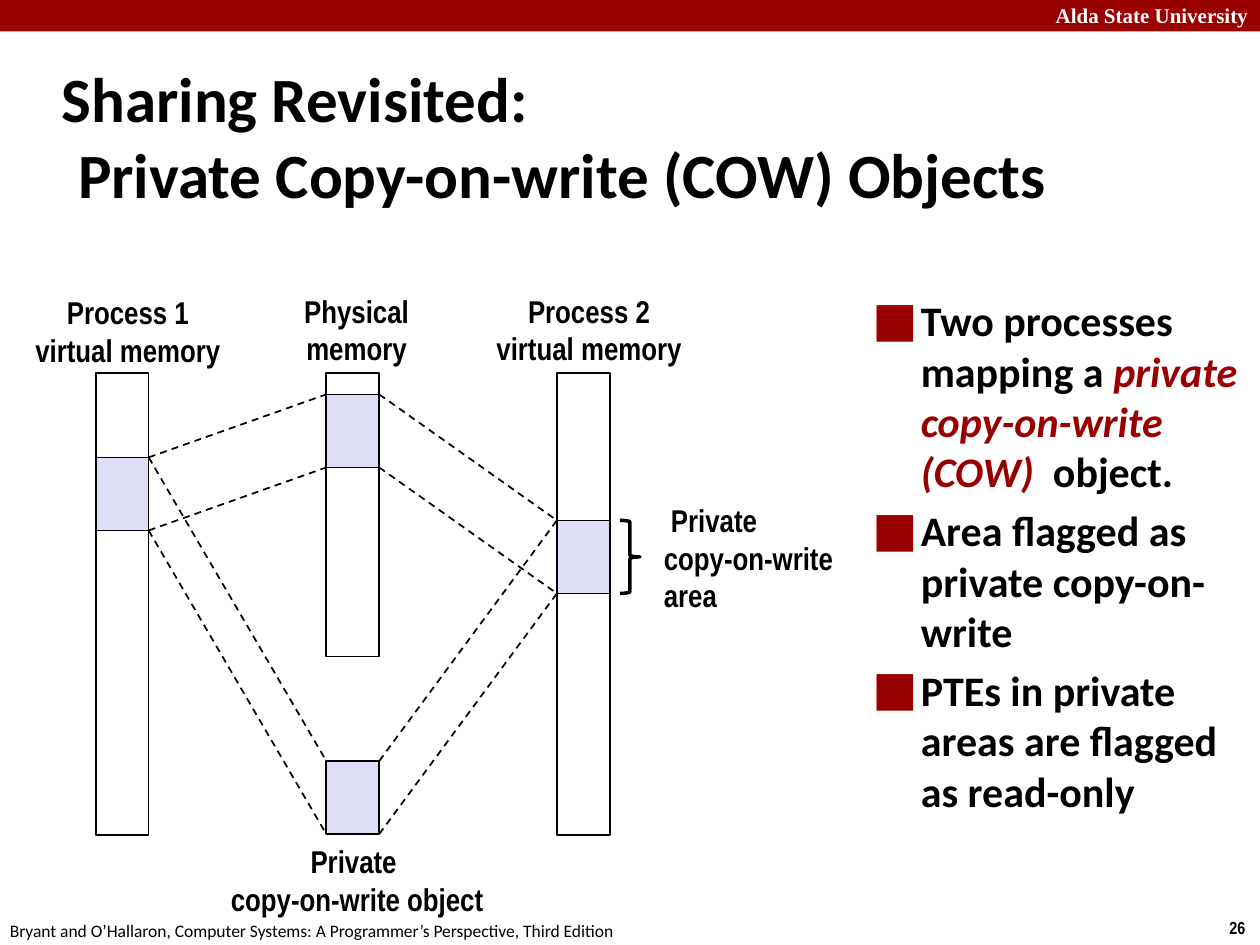
from lxml import etree
from pptx import Presentation
from pptx.dml.color import RGBColor
from pptx.enum.dml import MSO_LINE_DASH_STYLE as Dash
from pptx.enum.shapes import MSO_CONNECTOR as Connector, MSO_SHAPE as Shape
from pptx.enum.text import MSO_ANCHOR as Anchor, MSO_AUTO_SIZE as AutoSize, PP_ALIGN as Align
from pptx.oxml.ns import qn
from pptx.util import Inches, Pt

COLORS = {"red": "990000", "black": "000000", "white": "FFFFFF", "area": "DEDFF5"}

TITLE = "Sharing Revisited: \vPrivate Copy-on-write (COW) Objects"

# Each bullet is a list of (text, emphasized) runs
BULLETS = [
    [("Two processes mapping a ", False), ("private copy-on-write (COW)  ", True),
     ("object.", False)],
    [("Area flagged as private copy-on-write", False)],
    [("PTEs in private areas are flagged as read-only", False)],
]

# Lines, (left, top, width, height), alignment
LABELS = [
    (["Process 1", "virtual memory"], (0.17, 2.27, 1.69, 0.71), Align.CENTER),
    (["Physical", "memory"], (2.31, 2.26, 1.04, 0.71), Align.CENTER),
    (["Process 2", "virtual memory"], (3.83, 2.26, 1.69, 0.71), Align.CENTER),
    (["Private ", "copy-on-write object"], (1.72, 6.63, 2.23, 0.71), Align.CENTER),
    ([" Private", "copy-on-write", "area"], (5.17, 3.92, 1.58, 1.01), Align.LEFT),
]

# Text, box, font name, size, bold, color
PAGE_TEXTS = [
    ("Alda State University", (8.28, -0.03, 1.79, 0.3), "Times New Roman", 12, True, "white"),
    ("26", (9.66, 7.23, 0.34, 0.27), "Arial Narrow", 10, True, "black"),
    ("Bryant and O’Hallaron, Computer Systems: A Programmer’s Perspective, Third Edition",
     (-0.02, 7.25, 5.08, 0.27), "Calibri", 10, False, "black"),
]

# Diagram geometry
BAR_WIDTH, AREA_HEIGHT, BAR_TOP = 0.42, 0.58, 2.96
COLUMNS = {"process 1": 0.76, "physical": 2.59, "process 2": 4.42}
BAR_HEIGHTS = {"process 1": 3.67, "physical": 2.25, "process 2": 3.67}
AREAS = {  # name: (column, top)
    "object": ("physical", 6.04),
    "page": ("physical", 3.13),
    "area 1": ("process 1", 3.63),
    "area 2": ("process 2", 4.13),
}
MAPPINGS = [("area 1", "object"), ("object", "area 2"), ("area 1", "page"), ("page", "area 2")]


def color(name):
    return RGBColor.from_string(COLORS[name])


def box(values):
    return [Inches(value) for value in values]


def style_font(font, name, size, bold, color_name):
    font.name, font.size, font.bold = name, Pt(size), bold
    font.color.rgb = color(color_name)


def add_shape(slide, kind, position, fill=None, line_width=None):
    shape = slide.shapes.add_shape(kind, *box(position))
    shape.shadow.inherit = False
    if fill:
        shape.fill.solid()
        shape.fill.fore_color.rgb = color(fill)
    else:
        shape.fill.background()
    if line_width:
        shape.line.color.rgb = color("black")
        shape.line.width = Pt(line_width)
    else:
        shape.line.fill.background()
    return shape


def add_text(slide, lines, position, font_name, size, bold, color_name,
             align=Align.LEFT, anchor=Anchor.TOP):
    frame = slide.shapes.add_textbox(*box(position)).text_frame
    frame.word_wrap = False
    frame.vertical_anchor = anchor
    frame.text = "\n".join(lines)
    for paragraph in frame.paragraphs:
        paragraph.alignment = align
        style_font(paragraph.font, font_name, size, bold, color_name)


def add_dashed_line(slide, start, end):
    line = slide.shapes.add_connector(Connector.STRAIGHT, *box(start + end))
    line.line.color.rgb = color("black")
    line.line.width = Pt(1)
    line.line.dash_style = Dash.DASH
    etree.SubElement(line._element.spPr, qn("a:effectLst"))


def set_indent(paragraph, amount):
    properties = paragraph._p.get_or_add_pPr()
    properties.set("marL", str(Inches(amount)))
    properties.set("indent", str(-Inches(amount)))
    return properties


def set_square_bullet(properties):
    bullet_color = etree.Element(qn("a:buClr"))
    etree.SubElement(bullet_color, qn("a:srgbClr"), val=COLORS["red"])
    # Bullet settings come before the default run properties
    defaults = properties.find(qn("a:defRPr"))
    for element in (bullet_color,
                    etree.Element(qn("a:buSzPct"), val="180000"),
                    etree.Element(qn("a:buFont"), typeface="Arial"),
                    etree.Element(qn("a:buChar"), char="■")):
        defaults.addprevious(element)


def add_title(slide):
    title = slide.shapes.title
    title.left, title.top, title.width, title.height = box((0.39, 0.48, 8.3, 1.19))
    frame = title.text_frame
    frame.text = TITLE
    frame.auto_size = AutoSize.NONE
    frame.vertical_anchor = Anchor.MIDDLE
    paragraph = frame.paragraphs[0]
    paragraph.alignment = Align.LEFT
    style_font(paragraph.font, "Calibri", 36, True, "black")
    set_indent(paragraph, 0.13)


def add_bullets(slide):
    frame = slide.shapes.add_textbox(*box((6.83, 2.29, 3.17, 4.58))).text_frame
    frame.word_wrap = True
    for index, runs in enumerate(BULLETS):
        paragraph = frame.add_paragraph() if index else frame.paragraphs[0]
        paragraph.space_before = Pt(4.8 if index else 0)
        style_font(paragraph.font, "Calibri", 24, True, "black")
        set_square_bullet(set_indent(paragraph, 0.38))
        for text, emphasized in runs:
            run = paragraph.add_run()
            run.text = text
            if emphasized:
                run.font.italic = True
                run.font.color.rgb = color("red")


def add_diagram(slide):
    # Memory bars, then the mapped areas on top
    for name, left in COLUMNS.items():
        add_shape(slide, Shape.RECTANGLE, (left, BAR_TOP, BAR_WIDTH, BAR_HEIGHTS[name]),
                  line_width=1)
    for column, top in AREAS.values():
        add_shape(slide, Shape.RECTANGLE, (COLUMNS[column], top, BAR_WIDTH, AREA_HEIGHT),
                  "area", 1)
    # Each mapping joins the facing top and bottom corners of two areas
    for left_area, right_area in MAPPINGS:
        left_column, left_top = AREAS[left_area]
        right_column, right_top = AREAS[right_area]
        for offset in (0, AREA_HEIGHT):
            add_dashed_line(slide, (COLUMNS[left_column] + BAR_WIDTH, left_top + offset),
                            (COLUMNS[right_column], right_top + offset))
    # Brace beside the area of process 2
    brace = add_shape(slide, Shape.RIGHT_BRACE,
                      (4.92, AREAS["area 2"][1], 0.16, AREA_HEIGHT), line_width=2)
    brace.adjustments[0] = 0.08
    for lines, position, align in LABELS:
        add_text(slide, lines, position, "Arial Narrow", 18, True, "black", align, Anchor.MIDDLE)


def main():
    presentation = Presentation()
    presentation.slide_width, presentation.slide_height = Inches(10), Inches(7.5)
    slide = presentation.slides.add_slide(presentation.slide_layouts[5])

    # Header band and page texts
    add_shape(slide, Shape.RECTANGLE, (0, 0, 10, 0.25), "red")
    for text, position, *style in PAGE_TEXTS:
        add_text(slide, [text], position, *style)

    add_title(slide)
    add_bullets(slide)
    add_diagram(slide)
    presentation.save("out.pptx")


if __name__ == "__main__":
    main()
